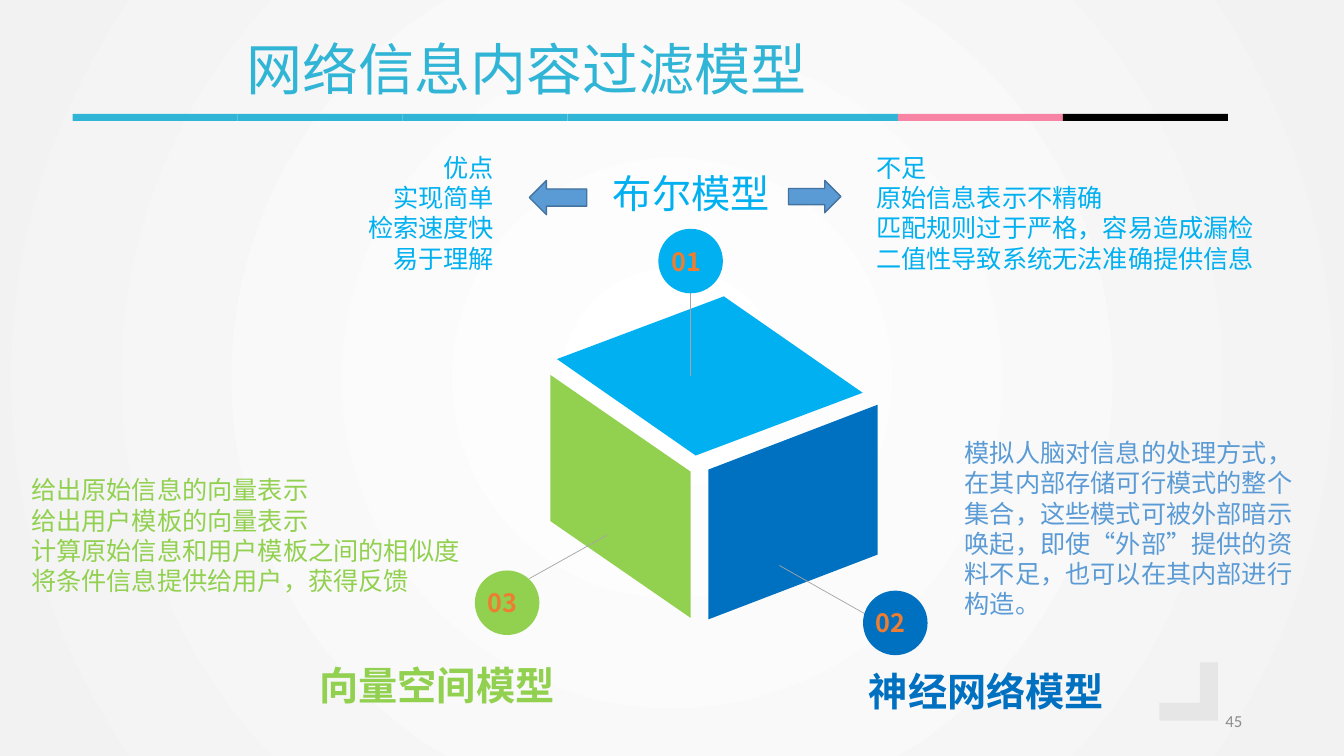
import pptx
import pptx.util
import pptx.dml.color
import pptx.enum.shapes
import pptx.enum.text
import pptx.oxml
import pptx.oxml.ns
import lxml.etree

Inches = pptx.util.Inches
Pt = pptx.util.Pt
SHAPE = pptx.enum.shapes.MSO_SHAPE
ALIGN = pptx.enum.text.PP_ALIGN
ANCHOR = pptx.enum.text.MSO_ANCHOR
qn = pptx.oxml.ns.qn

CJK = "Noto Sans CJK SC"
COLORS = {
    "white": "FFFFFF", "edge": "F2F2F2", "corner": "E7E6E6", "title": "31B5D6",
    "pink": "F784A5", "black": "000000", "sky": "00B0F0", "green": "92D050",
    "blue": "0070C0", "steel": "5B9BD5", "steel_line": "43739E",
    "leader": "A5A5A5", "number": "ED7D31", "page": "8C8C8C",
}


def rgb(name):
    """Return the named colour."""
    return pptx.dml.color.RGBColor.from_string(COLORS[name])


def add_text(slide, box, text, size=18, color="black", bold=False, font=CJK,
             align=ALIGN.LEFT, anchor=ANCHOR.TOP, wrap=True, spacing=None):
    """Add a text box with one paragraph per line of text."""
    tf = slide.shapes.add_textbox(*map(Inches, box)).text_frame
    tf.word_wrap = wrap
    tf.vertical_anchor = anchor
    for i, line in enumerate(text.split("\n")):
        p = tf.add_paragraph() if i else tf.paragraphs[0]
        p.alignment = align
        p.line_spacing = spacing
        r = p.add_run()
        r.text = line
        r.font.size = Pt(size)
        r.font.bold = bold
        r.font.name = font
        r.font.color.rgb = rgb(color)
        ea = lxml.etree.SubElement(r.font._element, qn("a:ea"))
        ea.set("typeface", font)


def style(sp, fill, line=None):
    """Give a shape its fill and outline, without a shadow."""
    sp.shadow.inherit = False
    sp.fill.solid()
    sp.fill.fore_color.rgb = rgb(fill)
    if line:
        sp.line.color.rgb = rgb(line)
        sp.line.width = Pt(1)
    else:
        sp.line.fill.background()


def add_shape(slide, kind, box, fill, line=None):
    """Add a filled preset shape."""
    sp = slide.shapes.add_shape(kind, *map(Inches, box))
    style(sp, fill, line)
    return sp


def add_background(slide):
    """Fill the background with a gradient that spreads from the centre."""
    fill = slide.background.fill
    fill.gradient()
    for stop, name in zip(fill.gradient_stops, ("white", "edge")):
        stop.color.rgb = rgb(name)
    fill.gradient_stops[0].position = 0
    fill.gradient_stops[1].position = 1
    lin = next(slide.background._cSld.iter(qn("a:lin")))
    path = lxml.etree.Element(qn("a:path"), {"path": "circle"})
    lxml.etree.SubElement(path, qn("a:fillToRect"), dict.fromkeys("ltrb", "50000"))
    lin.getparent().replace(lin, path)


def add_header(slide, x, y, w):
    """Place the title above a bar of seven equal segments."""
    add_text(slide, (x + 1.63, y, 5.76, 0.77), "网络信息内容过滤模型",
             size=40, color="title", wrap=False)
    step = w / 7
    for i, color in enumerate(["title"] * 5 + ["pink", "black"]):
        add_shape(slide, SHAPE.RECTANGLE, (x + i * step, y + 0.84, step, 0.07), color)


def add_footer(slide, x, y):
    """Place the corner mark and the page number."""
    side, arm = 0.58, 0.18
    points = [(side, side), (0, side), (0, side - arm),
              (side - arm, side - arm), (side - arm, 0), (side, 0)]
    points = [(Inches(x + dx), Inches(y + dy)) for dx, dy in points]
    fb = slide.shapes.build_freeform(*points[0])
    fb.add_line_segments(points[1:], close=True)
    style(fb.convert_to_shape(), "corner")
    add_text(slide, (x - 2.08, y + 0.38, 3, 0.4), "45", size=12, color="page",
             font="Calibri", align=ALIGN.RIGHT, anchor=ANCHOR.MIDDLE)


def add_cube(slide, x, y):
    """Build the cube from three turned parallelograms."""
    faces = [
        ((0.22, 0.1, 2.72, 1.38), 339.4, "flipV", 0.69, "sky"),
        ((-0.51, 1.29, 2.41, 1.39), 90, None, 0.69, "green"),
        ((1.34, 1.3, 2.13, 1.68), 90, "flipH", 0.383, "blue"),
    ]
    for (dx, dy, w, h), angle, flip, slant, color in faces:
        sp = add_shape(slide, SHAPE.PARALLELOGRAM, (x + dx, y + dy, w, h), color)
        sp.adjustments[0] = slant
        sp.rotation = angle
        if flip:
            sp._element.spPr.find(qn("a:xfrm")).set(flip, "1")


def add_badge(slide, x, y, number, color, start, end):
    """Place a numbered disc and the leader line from its cube face."""
    cn = slide.shapes.add_connector(pptx.enum.shapes.MSO_CONNECTOR.STRAIGHT,
                                    *map(Inches, start + end))
    cn.line.color.rgb = rgb("leader")
    cn.line.width = Pt(0.5)
    lxml.etree.SubElement(cn._element.spPr, qn("a:effectLst"))
    add_shape(slide, SHAPE.OVAL, (x, y, 0.64, 0.64), color)
    add_text(slide, (x + 0.03, y + 0.12, 0.57, 0.4), number, color="number", bold=True)


def add_boolean_model(slide, x, y):
    """Place the Boolean model between its strengths and weaknesses."""
    add_text(slide, (x, y, 2.97, 1.32), "优点\n实现简单\n检索速度快\n易于理解",
             color="sky", align=ALIGN.RIGHT)
    add_shape(slide, SHAPE.LEFT_ARROW, (x + 3.22, y + 0.33, 0.57, 0.34),
              "steel", "steel_line")
    add_text(slide, (x + 3.66, y + 0.22, 2.04, 0.59), "布尔模型", size=28,
             color="sky", align=ALIGN.RIGHT, spacing=0.9)
    add_shape(slide, SHAPE.RIGHT_ARROW, (x + 5.79, y + 0.33, 0.52, 0.32),
              "steel", "steel_line")
    add_text(slide, (x + 6.56, y, 4.69, 1.32),
             "不足\n原始信息表示不精确\n匹配规则过于严格，容易造成漏检\n"
             "二值性导致系统无法准确提供信息", color="sky")


def add_vector_model(slide, x, y):
    """Place the vector space model's steps and name."""
    add_text(slide, (x, y, 4.54, 1.32),
             "给出原始信息的向量表示\n给出用户模板的向量表示\n"
             "计算原始信息和用户模板之间的相似度\n将条件信息提供给用户，获得反馈",
             color="green")
    add_text(slide, (x + 2.86, y + 1.85, 2.55, 0.6), "向量空间模型",
             size=28, color="green", bold=True)


def add_neural_model(slide, x, y):
    """Place the neural network model's description and name."""
    add_text(slide, (x + 0.95, y, 3.53, 1.92),
             "模拟人脑对信息的处理方式，在其内部存储可行模式的整个集合，"
             "这些模式可被外部暗示唤起，即使“外部”提供的资料不足，"
             "也可以在其内部进行构造。", color="steel")
    add_text(slide, (x, y + 2.28, 3.21, 0.6), "神经网络模型",
             size=28, color="blue", bold=True)


def main():
    """Build the slide and save it."""
    prs = pptx.Presentation()
    prs.slide_width, prs.slide_height = Inches(13.33), Inches(7.5)
    slide = prs.slides.add_slide(prs.slide_layouts[6])
    add_background(slide)
    add_footer(slide, 11.5, 6.57)
    add_header(slide, 0.72, 0.29, 11.46)
    add_cube(slide, 5.46, 2.94)
    add_badge(slide, 6.53, 2.27, "01", "sky", (6.85, 3.73), (6.85, 2.81))
    add_badge(slide, 8.56, 5.86, "02", "blue", (7.73, 5.61), (8.65, 6.13))
    add_badge(slide, 4.71, 5.66, "03", "green", (6.02, 5.31), (5.25, 5.74))
    add_boolean_model(slide, 2.03, 1.46)
    add_vector_model(slide, 0.21, 4.66)
    add_neural_model(slide, 8.52, 4.29)
    prs.save("out.pptx")


if __name__ == "__main__":
    main()
